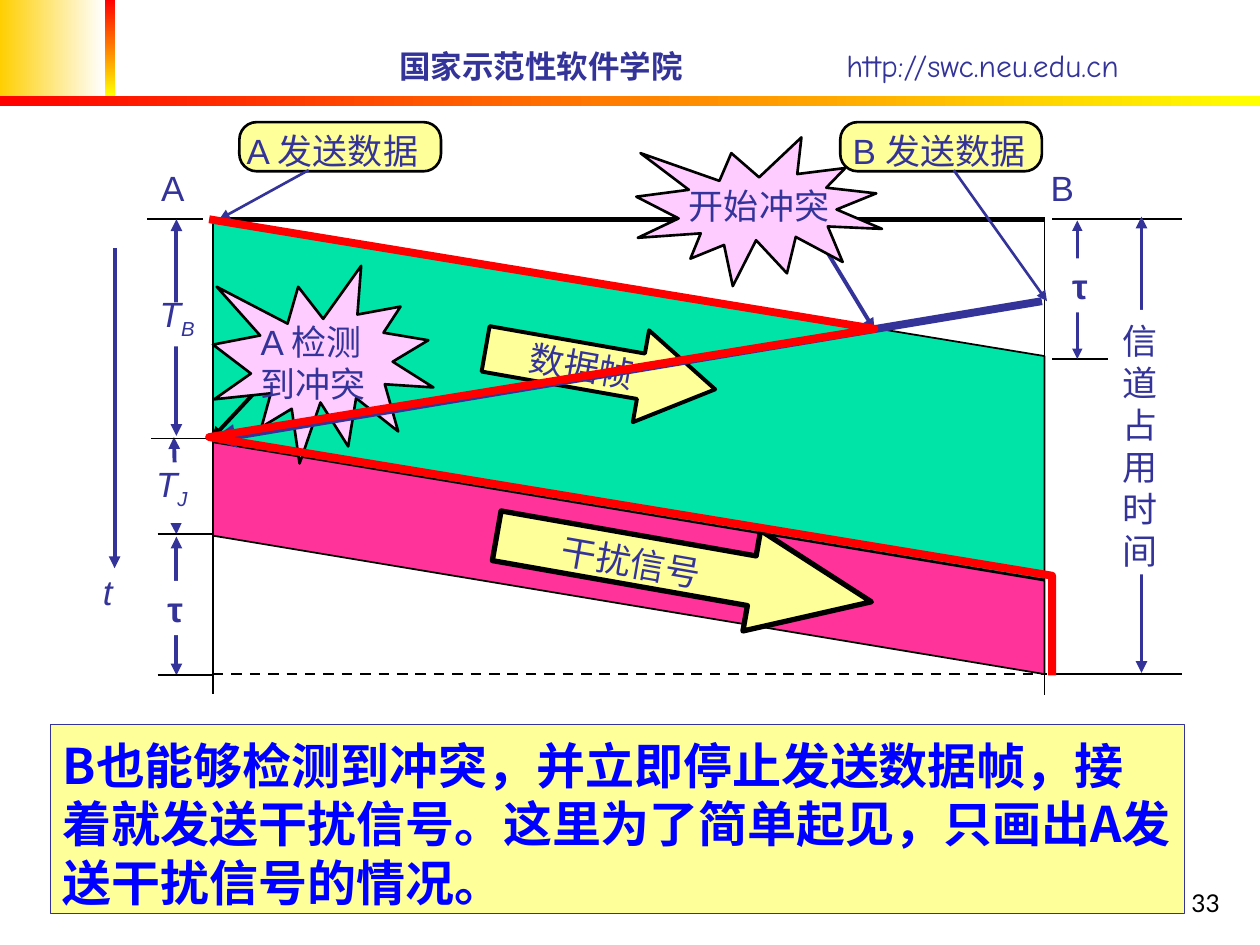
from dataclasses import dataclass

from lxml import etree
from pptx import Presentation
from pptx.dml.color import RGBColor
from pptx.enum.dml import MSO_LINE
from pptx.enum.shapes import MSO_CONNECTOR, MSO_SHAPE
from pptx.enum.text import MSO_ANCHOR, MSO_AUTO_SIZE, PP_ALIGN
from pptx.oxml.ns import qn
from pptx.util import Pt

RECT, ROUND = MSO_SHAPE.RECTANGLE, MSO_SHAPE.ROUNDED_RECTANGLE
SLANT, ARROW = MSO_SHAPE.PARALLELOGRAM, MSO_SHAPE.RIGHT_ARROW
BURST = MSO_SHAPE.EXPLOSION1
STRAIGHT, DASH = MSO_CONNECTOR.STRAIGHT, MSO_LINE.DASH
TOP, MIDDLE, BOTTOM = MSO_ANCHOR.TOP, MSO_ANCHOR.MIDDLE, MSO_ANCHOR.BOTTOM
LEFT, CENTER, RIGHT = PP_ALIGN.LEFT, PP_ALIGN.CENTER, PP_ALIGN.RIGHT
NO_FIT = MSO_AUTO_SIZE.NONE
CJK = "Noto Sans CJK SC"
COLORS = {
    "gold": "FFCF01", "white": "FFFFFF", "red": "FF0000", "yellow": "FFFF00",
    "navy": "333399", "black": "000000", "green": "00E4A8", "pink": "FF3399",
    "cream": "FFFF99", "rose": "FFCCFF", "blue": "0000FF",
}


@dataclass
class Text:
    """Wording and its format; sub is a trailing subscript."""
    words: str
    sub: str = ""
    size: float = 20
    font: str = "Arial"
    color: str = "navy"
    bold: bool = False
    slant: bool = False
    align: PP_ALIGN = LEFT
    anchor: MSO_ANCHOR = TOP
    wrap: bool = False


@dataclass
class Box:
    """A preset shape, or a plain text box if kind is None."""
    kind: MSO_SHAPE | None
    x: float
    y: float
    w: float
    h: float
    fill: str = "white"
    line: str = ""
    width: float = 1
    rot: float = 0
    adj: tuple = ()
    text: Text | None = None


@dataclass
class Line:
    x1: float
    y1: float
    x2: float
    y2: float
    color: str = "black"
    width: float = 1
    head: bool = False
    tail: bool = False
    dash: bool = False


def rgb(name: str) -> RGBColor:
    return RGBColor.from_string(COLORS[name])


def write(shape, text: Text) -> None:
    frame = shape.text_frame
    frame.text = text.words
    frame.auto_size, frame.word_wrap = NO_FIT, text.wrap
    frame.vertical_anchor = text.anchor
    frame.margin_left = frame.margin_right = Pt(7.2)
    frame.margin_top = frame.margin_bottom = Pt(3.6)
    if text.anchor == TOP and any(ord(c) > 0x3000 for c in text.words):
        frame.margin_top = Pt(3.6 + 0.09 * text.size)
    if text.sub:
        low = frame.paragraphs[-1].add_run()
        low.text = text.sub
        low.font._element.set("baseline", "-25000")
    for para in frame.paragraphs:
        para.alignment = text.align
        para.line_spacing = Pt(1.2 * text.size)
        for run in para.runs:
            font = run.font
            font.name, font.size = text.font, Pt(text.size)
            font.bold, font.italic = text.bold, text.slant
            font.color.rgb = rgb(text.color)
            etree.SubElement(font._element, qn("a:ea")).set("typeface", CJK)


def draw_box(shapes, box: Box) -> None:
    area = [Pt(v) for v in (box.x, box.y, box.w, box.h)]
    if box.kind is None:
        shape = shapes.add_textbox(*area)
    else:
        shape = shapes.add_shape(box.kind, *area)
        shape.shadow.inherit = False
        shape.fill.solid()
        shape.fill.fore_color.rgb = rgb(box.fill)
        if box.line:
            shape.line.color.rgb = rgb(box.line)
            shape.line.width = Pt(box.width)
        else:
            shape.line.fill.background()
        for i, value in enumerate(box.adj):
            shape.adjustments[i] = value
    shape.rotation = box.rot
    if box.text:
        write(shape, box.text)


def draw_line(shapes, line: Line) -> None:
    ends = [Pt(v) for v in (line.x1, line.y1, line.x2, line.y2)]
    link = shapes.add_connector(STRAIGHT, *ends)
    link.line.color.rgb = rgb(line.color)
    link.line.width = Pt(line.width)
    if line.dash:
        link.line.dash_style = DASH
    props = link._element.spPr
    stroke = props.find(qn("a:ln"))
    for tag, shown in (("a:headEnd", line.head), ("a:tailEnd", line.tail)):
        if shown:
            etree.SubElement(stroke, qn(tag)).set("type", "triangle")
    etree.SubElement(props, qn("a:effectLst"))


def draw_band(shapes, x, y, w, h, start: str, end: str, angle: int) -> None:
    """Add a bar with a two-colour gradient."""
    band = shapes.add_shape(RECT, Pt(x), Pt(y), Pt(w), Pt(h))
    band.shadow.inherit = False
    band.line.fill.background()
    band.fill.gradient()
    band.fill.gradient_angle = angle
    for stop, name, place in zip(band.fill.gradient_stops, (start, end), (0, 1)):
        stop.color.rgb, stop.position = rgb(name), place


def label(x, y, w, h, words: str, rot: float = 0, **style) -> Box:
    return Box(None, x, y, w, h, rot=rot, text=Text(words, **style))


def span(x1, y1, x2, y2, width: float = 2.25) -> Line:
    """A measure with an arrowhead at both ends."""
    return Line(x1, y1, x2, y2, "navy", width, True, True)


def point(x1, y1, x2, y2, color: str = "navy", width: float = 2.25) -> Line:
    return Line(x1, y1, x2, y2, color, width, tail=True)


def tau(x, y) -> Box:
    return Box(RECT, x, y, 23, 31, text=Text("τ", bold=True))


def button(x) -> Box:
    return Box(ROUND, x, 69.8, 115.2, 28.1, "cream", "black", 1.5, adj=(0.354,))


NOTE = ("B也能够检测到冲突，并立即停止发送数据帧，接着就发送干扰信号。"
        "这里为了简单起见，只画出A发送干扰信号的情况。")
ITEMS = [
    Box(SLANT, 256.3, -9.4, 205.9, 475.2, "green", "black", 1, 90, (0.38,)),
    Box(ARROW, 276.5, 184.3, 133.2, 53.3, "cream", "black", 2.25, 10,
        (0.494, 0.808), Text("数据帧", align=CENTER, anchor=MIDDLE)),
    Box(SLANT, 293, 81.4, 132.5, 475.2, "pink", "black", 1, 90, (0.597,)),
    Box(ARROW, 282.2, 295.9, 217.4, 58.3, "cream", "black", 3, 10, (0.494, 1.19)),
    label(313.9, 303.8, 94.3, 31.7, "干扰信号", 9.9),
    span(100.8, 306.7, 100.8, 385.9),
    span(99.4, 249.8, 100.8, 305.3),
    tau(88.6, 331.9),
    Line(90, 305.3, 121.7, 305.3),
    Line(90, 385.9, 121.7, 385.9),
    Box(RECT, 82.1, 264.2, 32.4, 34.6, text=Text("T", "J", slant=True)),
    Line(123.1, 125.3, 596.9, 125.3, width=3),
    Line(121.7, 126, 121.7, 396.7),
    Line(601.2, 125.3, 675.4, 125.3),
    Line(601.2, 205.2, 632.9, 205.2),
    span(615.6, 126, 615.6, 205.2, 1.5),
    label(85, 91.4, 27.4, 31, "A"),
    label(593.3, 91.4, 27.4, 31, "B"),
    point(65.5, 141.8, 65.5, 324.7),
    Line(596.9, 125.3, 596.9, 397.4),
    Line(86.4, 250.6, 118.1, 250.6),
    Line(84.2, 125.3, 115.9, 125.3),
    span(100.8, 125.3, 100.8, 249.1),
    Box(RECT, 89.3, 172.8, 26.6, 25.2),
    label(84.2, 167, 34.6, 34.6, "T", sub="B", slant=True),
    label(51.8, 322.6, 19.4, 31.7, "t", slant=True),
    Line(121.7, 385.2, 598.3, 385.2, width=1.5, dash=True),
    tau(605.5, 147.6),
    button(480.2),
    label(480.2, 68.4, 118.1, 31.7, "B 发送数据"),
    point(545, 97.2, 598.3, 172.1, width=1.5),
    point(163.4, 205.2, 121, 250.6, "black"),
    Box(BURST, 121.7, 151.9, 126, 113, "rose", "black", 1.5),
    label(141.8, 177.8, 77.8, 55.4, "A 检测\n到冲突"),
    point(470.9, 141.1, 499.7, 188.6),
    Box(BURST, 363.6, 78.5, 140.4, 85, "rose", "black", 1.5),
    label(386.6, 100.1, 94.3, 31.7, "开始冲突"),
    Line(603.4, 385.2, 675.4, 385.2),
    span(652.3, 123.8, 652.3, 384.5),
    Box(RECT, 634.3, 177.1, 34.6, 151.2, text=Text("\n".join("信道占用时间"))),
    button(136.8),
    label(133.9, 68.4, 118.1, 31.7, "A 发送数据"),
    point(176.4, 97.2, 125.3, 125.3, width=1.5),
    point(595.4, 172.1, 121, 251.3, width=4.5),
    Box(RECT, 28.8, 414, 648, 108, "cream", "navy", 0.75,
        text=Text(NOTE, size=28, font=CJK, color="blue", bold=True, wrap=True)),
    label(554.4, 491.8, 149.8, 36, "33", size=14, font="Lato", color="black",
          align=RIGHT, anchor=BOTTOM, wrap=True),
]
ROUTE = [(119.5, 125.3), (499.7, 187.9), (119.5, 249.8), (601.2, 329), (601.2, 385.9)]


def draw_route(shapes) -> None:
    """Trace the red outline of the collision."""
    first, *rest = [(Pt(x), Pt(y)) for x, y in ROUTE]
    pen = shapes.build_freeform(*first)
    pen.add_line_segments(rest, close=False)
    route = pen.convert_to_shape()
    route.shadow.inherit = False
    route.fill.background()
    route.line.color.rgb, route.line.width = rgb("red"), Pt(4.5)


def main() -> None:
    deck = Presentation()
    deck.slide_width, deck.slide_height = Pt(720), Pt(540)
    shapes = deck.slides.add_slide(deck.slide_layouts[5]).shapes
    draw_band(shapes, 0, 0, 59.8, 54.7, "gold", "white", 0)
    draw_band(shapes, 59.8, 0, 5.8, 54.7, "red", "yellow", 270)
    draw_band(shapes, 0, 54.7, 720, 5.8, "red", "yellow", 0)
    title = shapes.title
    title.left, title.top, title.width, title.height = Pt(221), Pt(23), Pt(250), Pt(28.8)
    write(title, Text("国家示范性软件学院", size=18, font="Comic Neue", bold=True, anchor=MIDDLE))
    draw_box(shapes, label(476.6, 23, 227, 28.8, "http://swc.neu.edu.cn",
                           size=18, font="Comic Neue", anchor=MIDDLE))
    for item in ITEMS:
        (draw_box if isinstance(item, Box) else draw_line)(shapes, item)
    draw_route(shapes)
    deck.save("out.pptx")


if __name__ == "__main__":
    main()
